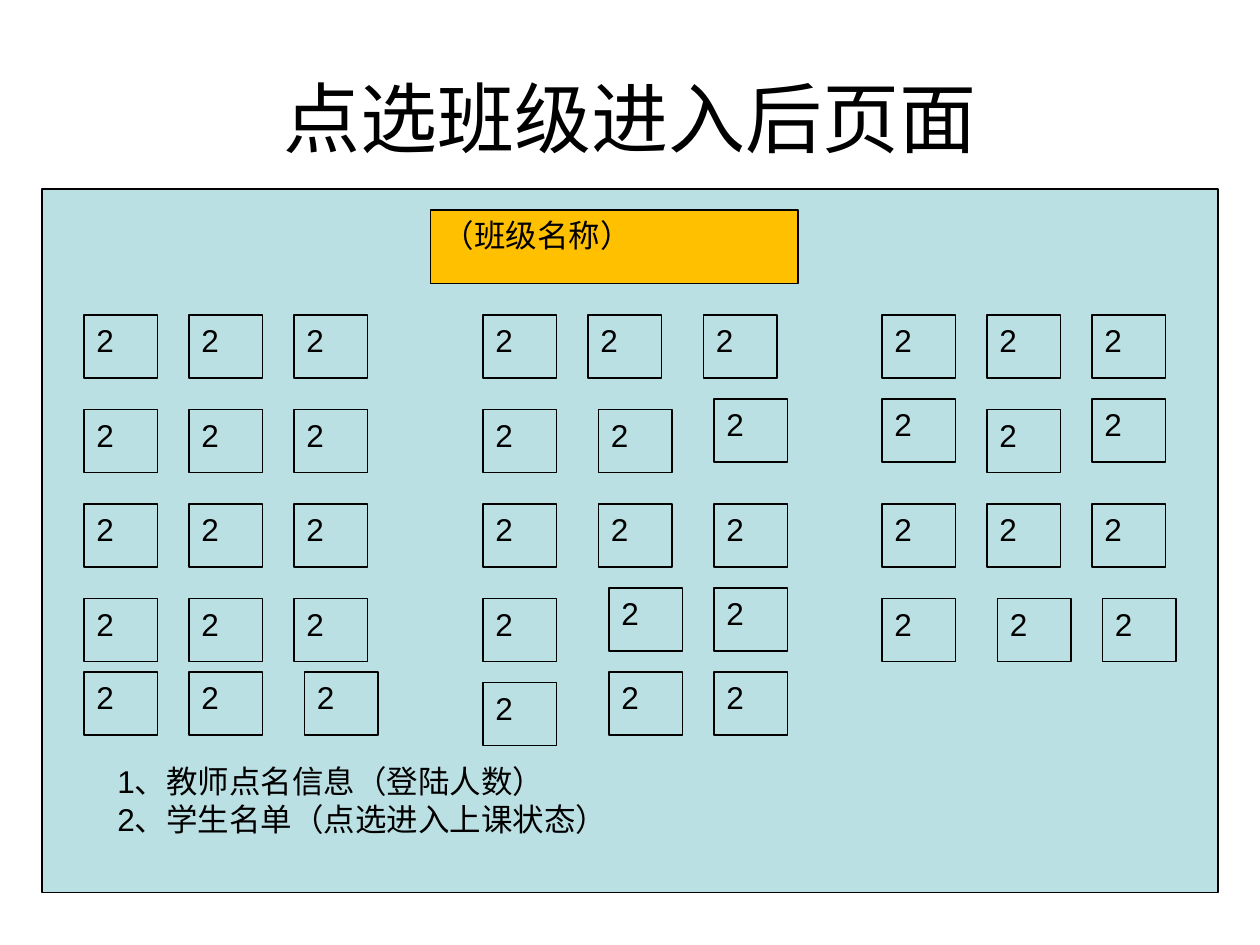
from pptx import Presentation
from pptx.dml.color import RGBColor
from pptx.enum.shapes import MSO_SHAPE
from pptx.enum.text import MSO_ANCHOR, MSO_AUTO_SIZE, PP_ALIGN
from pptx.util import Emu, Pt

RECT = MSO_SHAPE.RECTANGLE
TOP, MIDDLE = MSO_ANCHOR.TOP, MSO_ANCHOR.MIDDLE
LEFT, CENTER = PP_ALIGN.LEFT, PP_ALIGN.CENTER
NO_FIT, GROW = MSO_AUTO_SIZE.NONE, MSO_AUTO_SIZE.SHAPE_TO_FIT_TEXT

PX = 914400 // 120
FONT = "Arial"
COLORS = {"ink": "000000", "panel": "BBE0E3", "header": "FFC000"}

SEAT_W, SEAT_H = 70, 60
ROW_TOPS = [0, 90, 180, 270, 340]
BLOCKS = [(0, 100, 5), (380, 110, 5), (760, 100, 4)]
SEAT_NUDGES = {
    (0, 1, 1): (-10, 0), (0, 1, 2): (-10, 0),
    (1, 1, 2): (0, -10), (1, 2, 0): (0, -10), (1, 2, 2): (0, -10),
    (3, 1, 1): (10, -10), (3, 1, 2): (0, -10),
    (3, 2, 1): (10, 0), (3, 2, 2): (10, 0),
    (4, 0, 2): (10, 0), (4, 1, 0): (0, 10), (4, 1, 1): (10, 0),
}


def rgb(name):
    return RGBColor.from_string(COLORS[name])


def emu(box):
    return [Emu(v * PX) for v in box]


def write(sp, text, size=18, align=LEFT, anchor=TOP, fit=NO_FIT):
    tf = sp.text_frame
    tf.text = text
    tf.word_wrap = True
    tf.auto_size = fit
    tf.vertical_anchor = anchor
    for p in tf.paragraphs:
        p.alignment = align
        for r in p.runs:
            r.font.name = FONT
            r.font.size = Pt(size)
            r.font.color.rgb = rgb("ink")


def add_box(s, box, fill, text=""):
    sp = s.shapes.add_shape(RECT, *emu(box))
    sp.shadow.inherit = False
    sp.fill.solid()
    sp.fill.fore_color.rgb = rgb(fill)
    sp.line.color.rgb = rgb("ink")
    sp.line.width = Pt(0.75)
    if text:
        write(sp, text)


def place_title(s, box, text):
    sp = s.shapes.title
    sp.left, sp.top, sp.width, sp.height = emu(box)
    write(sp, text, 44, CENTER, MIDDLE)


def add_seats(s, x, y):
    for block, (left, pitch, rows) in enumerate(BLOCKS):
        for row, top in enumerate(ROW_TOPS[:rows]):
            for col in range(3):
                dx, dy = SEAT_NUDGES.get((row, block, col), (0, 0))
                seat = (x + left + col * pitch + dx, y + top + dy, SEAT_W, SEAT_H)
                add_box(s, seat, "panel", "2")


def add_notes(s, box):
    sp = s.shapes.add_textbox(*emu(box))
    write(sp, "1、教师点名信息（登陆人数）\n2、学生名单（点选进入上课状态）", fit=GROW)


def add_classroom(s, box):
    x, y, w, h = box
    add_box(s, box, "panel")
    add_box(s, (x + 370, y + 20, 350, 70), "header", "（班级名称）")
    add_seats(s, x + 40, y + 120)
    add_notes(s, (x + 60, y + 540, 950, 84))


def main():
    prs = Presentation()
    prs.slide_width, prs.slide_height = emu((1200, 900))
    s = prs.slides.add_slide(prs.slide_layouts[5])
    place_title(s, (60, 36, 1080, 150), "点选班级进入后页面")
    add_classroom(s, (40, 180, 1120, 670))
    prs.save("out.pptx")


if __name__ == "__main__":
    main()
